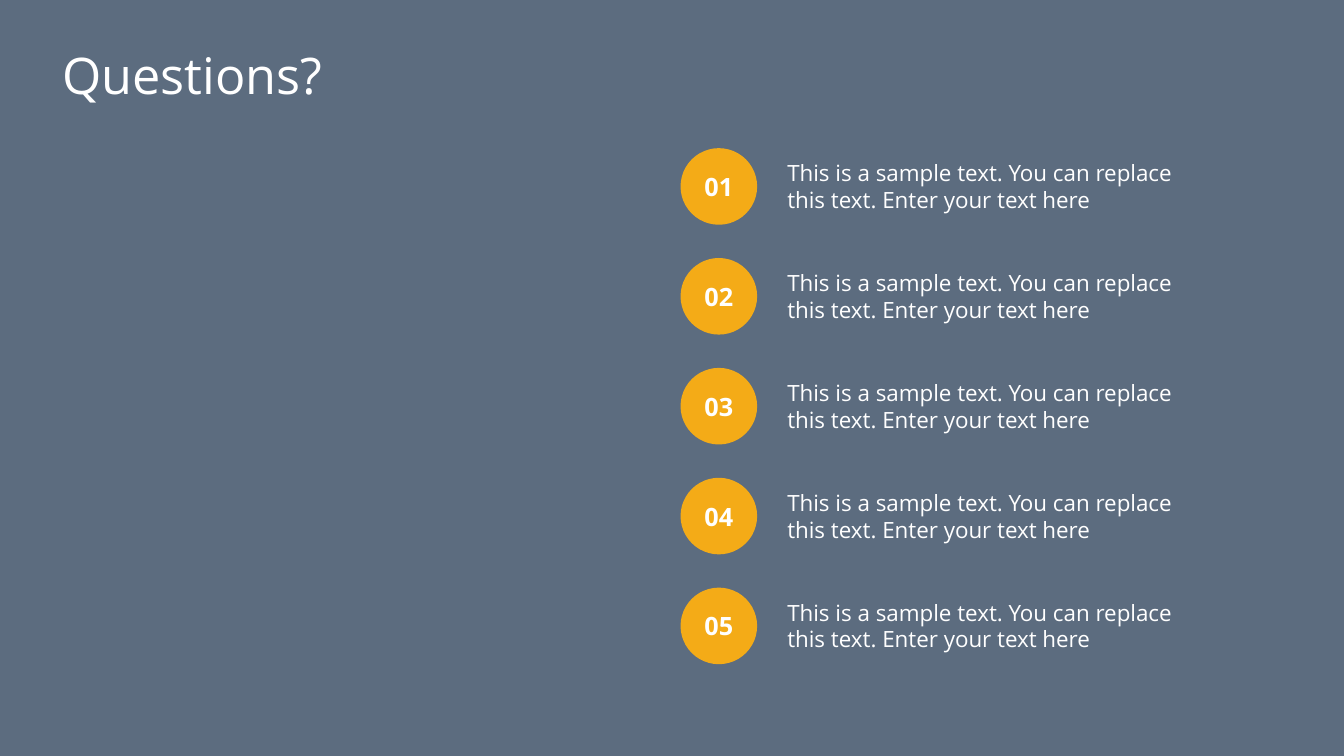
from lxml import etree
from pptx import Presentation
from pptx.dml.color import RGBColor
from pptx.enum.shapes import MSO_SHAPE
from pptx.enum.text import MSO_ANCHOR, MSO_AUTO_SIZE, PP_ALIGN
from pptx.oxml.ns import qn
from pptx.util import Inches, Pt

RECTANGLE, OVAL = MSO_SHAPE.RECTANGLE, MSO_SHAPE.OVAL
TOP, MIDDLE = MSO_ANCHOR.TOP, MSO_ANCHOR.MIDDLE
LEFT, CENTER = PP_ALIGN.LEFT, PP_ALIGN.CENTER
NO_AUTO_SIZE = MSO_AUTO_SIZE.NONE

FONT = "Open Sans"
COLORS = {"backdrop": "57687B", "badge": "F4AB17", "text": "FFFFFF"}
QUESTIONS = ["This is a sample text. You can replace this text. Enter your text here"] * 5
SLIDE_WIDTH, SLIDE_HEIGHT = 13.33, 7.5
FIRST_BADGE_TOP, ROW_PITCH = 1.47, 1.09
BADGE_SIZE = 0.76
QUESTION_HEIGHT = 0.64


def write_text(shape, text, size, align=LEFT, anchor=TOP, bold=False):
    frame = shape.text_frame
    frame.text = text
    frame.word_wrap = True
    frame.auto_size = NO_AUTO_SIZE
    frame.vertical_anchor = anchor
    paragraph = frame.paragraphs[0]
    paragraph.alignment = align
    font = paragraph.runs[0].font
    font.name = FONT
    font.size = Pt(size)
    font.bold = bold
    font.color.rgb = RGBColor.from_string(COLORS["text"])


def add_filled_shape(slide, kind, left, top, width, height, color):
    shape = slide.shapes.add_shape(
        kind, Inches(left), Inches(top), Inches(width), Inches(height))
    shape.shadow.inherit = False
    shape.fill.solid()
    shape.fill.fore_color.rgb = RGBColor.from_string(COLORS[color])
    shape.line.fill.background()
    return shape


def add_backdrop(slide):
    backdrop = add_filled_shape(
        slide, RECTANGLE, 0, 0, SLIDE_WIDTH, SLIDE_HEIGHT, "backdrop")
    color = backdrop.element.spPr.find(qn("a:solidFill")).find(qn("a:srgbClr"))
    etree.SubElement(color, qn("a:alpha")).set("val", "97000")
    slide.shapes.title.element.addprevious(backdrop.element)


def set_title(slide, text):
    title = slide.shapes.title
    title.left, title.top = Inches(0.52), Inches(0.39)
    title.width, title.height = Inches(4.25), Inches(0.71)
    write_text(title, text, 36)


def add_question(slide, number, text):
    badge_top = FIRST_BADGE_TOP + (number - 1) * ROW_PITCH
    badge = add_filled_shape(
        slide, OVAL, 6.75, badge_top, BADGE_SIZE, BADGE_SIZE, "badge")
    write_text(badge, f"{number:02d}", 18, CENTER, MIDDLE, bold=True)
    question_top = badge_top + (BADGE_SIZE - QUESTION_HEIGHT) / 2
    question = slide.shapes.add_textbox(
        Inches(7.71), Inches(question_top), Inches(4.39), Inches(QUESTION_HEIGHT))
    write_text(question, text, 16)


def main():
    presentation = Presentation()
    presentation.slide_width = Inches(SLIDE_WIDTH)
    presentation.slide_height = Inches(SLIDE_HEIGHT)
    slide = presentation.slides.add_slide(presentation.slide_layouts[5])
    add_backdrop(slide)
    set_title(slide, "Questions?")
    for number, text in enumerate(QUESTIONS, start=1):
        add_question(slide, number, text)
    presentation.save("out.pptx")


if __name__ == "__main__":
    main()
